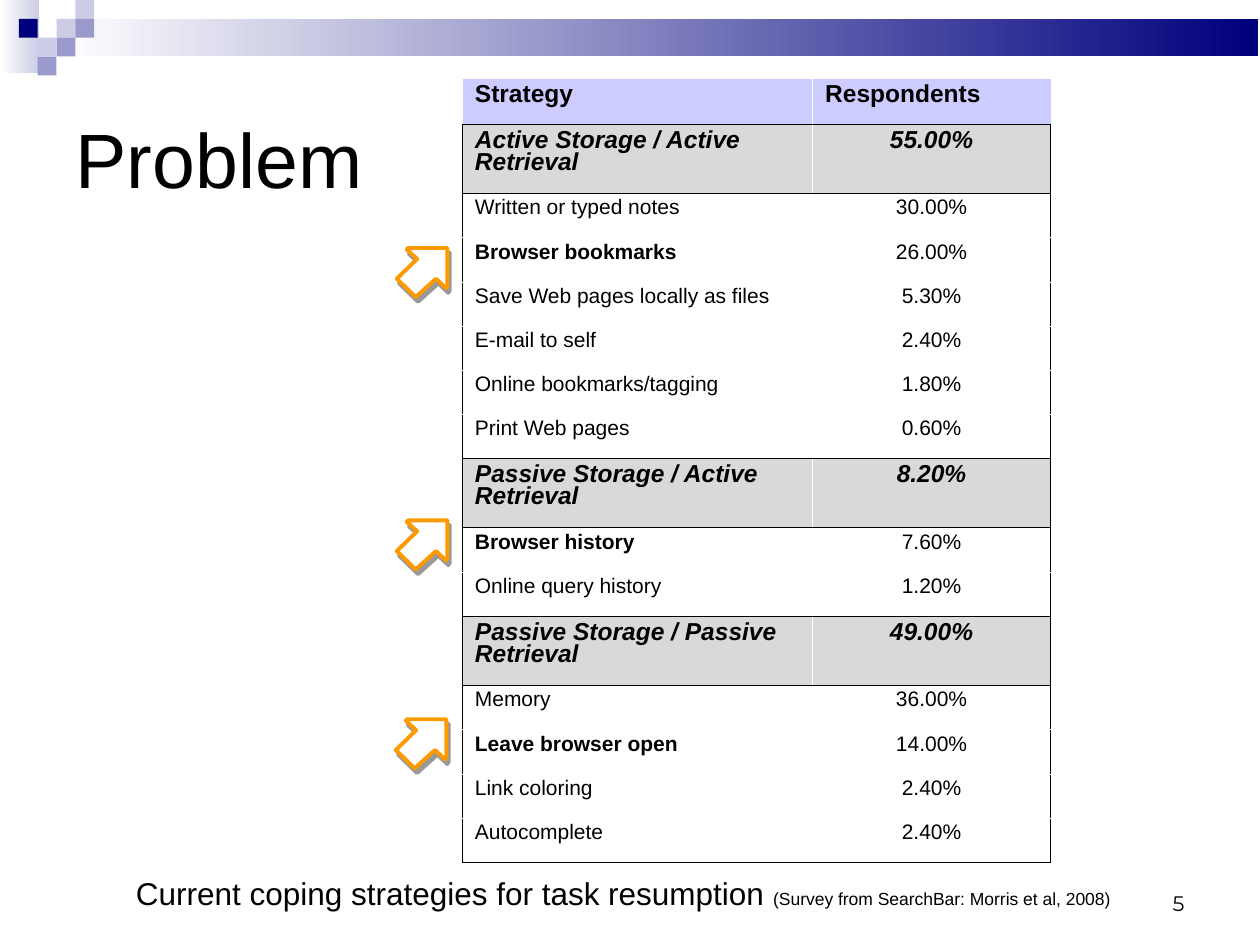
from lxml import etree
from pptx import Presentation
from pptx.dml.color import RGBColor
from pptx.enum.shapes import MSO_SHAPE
from pptx.enum.text import MSO_ANCHOR, PP_ALIGN
from pptx.oxml import parse_xml
from pptx.oxml.ns import nsdecls, qn
from pptx.util import Cm, Pt

RECT = MSO_SHAPE.RECTANGLE
LEFT, CENTER, RIGHT = PP_ALIGN.LEFT, PP_ALIGN.CENTER, PP_ALIGN.RIGHT
TOP, MIDDLE, BOTTOM = MSO_ANCHOR.TOP, MSO_ANCHOR.MIDDLE, MSO_ANCHOR.BOTTOM

COLORS = {
    "black": "000000", "white": "FFFFFF", "navy": "00007D",
    "lilac": "CCCCE6", "violet": "9999CC", "header": "CCCCFF",
    "group": "D9D9D9", "orange": "FF9900",
}

STRATEGIES = [
    ("header", "Strategy", "Respondents"),
    ("group", "Active Storage / Active Retrieval", "55.00%"),
    ("item", "Written or typed notes", "30.00%"),
    ("key", "Browser bookmarks", "26.00%"),
    ("item", "Save Web pages locally as files", "5.30%"),
    ("item", "E-mail to self", "2.40%"),
    ("item", "Online bookmarks/tagging", "1.80%"),
    ("item", "Print Web pages", "0.60%"),
    ("group", "Passive Storage / Active Retrieval", "8.20%"),
    ("key", "Browser history", "7.60%"),
    ("item", "Online query history", "1.20%"),
    ("group", "Passive Storage / Passive Retrieval", "49.00%"),
    ("item", "Memory", "36.00%"),
    ("key", "Leave browser open", "14.00%"),
    ("item", "Link coloring", "2.40%"),
    ("item", "Autocomplete", "2.40%"),
]
ROW_HEIGHTS = {"header": 0.93, "group": 1.4, "item": 0.89, "key": 0.89}
COLUMN_WIDTHS = [7.06, 4.8]

SQUARES = [(3, 1, "lilac"), (4, 0, "lilac"), (4, 1, "violet"), (2, 2, "lilac"),
           (1, 1, "navy"), (3, 2, "violet"), (2, 3, "violet")]
SQUARE = 0.38

ARROW = [(0, 62), (41, 22), (20, 3), (23, 0), (102, 0),
         (102, 76), (99, 81), (79, 62), (38, 99)]
ARROW_PLACES = [(8, 10.49), (7.98, 14.5), (8, 5)]


def rgb(name):
    return RGBColor.from_string(COLORS[name])


def write(p, text, size=12, font="Arial", color="black", bold=False,
          italic=False, align=LEFT, spacing=None):
    p.alignment = align
    if spacing:
        p.line_spacing = spacing
    r = p.add_run()
    r.text = text
    r.font.size, r.font.name = Pt(size), font
    r.font.bold, r.font.italic = bold, italic
    r.font.color.rgb = rgb(color)


class SlideBuilder:
    def __init__(self, prs):
        self.s = prs.slides.add_slide(prs.slide_layouts[5])

    def title(self, text, x, y, w, h):
        sp = self.s.shapes.title
        sp.left, sp.top, sp.width, sp.height = Cm(x), Cm(y), Cm(w), Cm(h)
        sp.text_frame.vertical_anchor = MIDDLE
        write(sp.text_frame.paragraphs[0], text, size=44)

    def text(self, x, y, w, h, runs, anchor=TOP, wrap=True):
        tf = self.s.shapes.add_textbox(Cm(x), Cm(y), Cm(w), Cm(h)).text_frame
        tf.word_wrap = wrap
        tf.vertical_anchor = anchor
        for text, style in runs:
            write(tf.paragraphs[0], text, **style)

    def rect(self, x, y, w, h, color, fade=False):
        sp = self.s.shapes.add_shape(RECT, Cm(x), Cm(y), Cm(w), Cm(h))
        sp.shadow.inherit = False
        sp.line.fill.background()
        if fade:
            sp.fill.gradient()
            sp.fill.gradient_angle = 180
            stops = sp.fill.gradient_stops
            for stop, position, name in zip(stops, (0, 1), (color, "white")):
                stop.position = position
                stop.color.rgb = rgb(name)
        else:
            sp.fill.solid()
            sp.fill.fore_color.rgb = rgb(color)

    def arrow(self, x, y):
        builder = self.s.shapes.build_freeform(*ARROW[0], scale=Cm(0.01))
        builder.add_line_segments(ARROW[1:], close=True)
        sp = builder.convert_to_shape(Cm(x), Cm(y))
        sp.fill.solid()
        sp.fill.fore_color.rgb = rgb("white")
        sp.line.color.rgb = rgb("orange")
        sp.line.width = Pt(2.25)
        etree.SubElement(sp.line._get_or_add_ln(), qn("a:round"))
        sp.shadow.inherit = False
        sp._element.spPr.find(qn("a:effectLst")).append(parse_xml(
            f'<a:outerShdw {nsdecls("a")} blurRad="0" dist="{Pt(3)}" '
            f'dir="{63 * 60000}" algn="ctr" rotWithShape="0">'
            f'<a:srgbClr val="{COLORS["black"]}"><a:alpha val="40000"/>'
            '</a:srgbClr></a:outerShdw>'))

    def borders(self, cell, sides):
        tc_pr = cell._tc.get_or_add_tcPr()
        for i, (side, dark) in enumerate(sides.items()):
            width, color = (0.45, "black") if dark else (0.06, "white")
            tc_pr.insert(i, parse_xml(
                f'<a:ln{side} {nsdecls("a")} w="{Pt(width)}"><a:solidFill>'
                f'<a:srgbClr val="{COLORS[color]}"/></a:solidFill></a:ln{side}>'))

    def table(self, x, y, rows, widths):
        heights = [ROW_HEIGHTS[kind] for kind, *_ in rows]
        table = self.s.shapes.add_table(
            len(rows), len(widths), Cm(x), Cm(y),
            Cm(sum(widths)), Cm(sum(heights))).table
        table.first_row = table.horz_banding = False
        for column, width in zip(table.columns, widths):
            column.width = Cm(width)
        groups = [kind == "group" for kind, *_ in rows]
        rules = [False] + [a or b for a, b in zip(groups, groups[1:])] + [True]
        for i, (kind, *texts) in enumerate(rows):
            table.rows[i].height = Cm(heights[i])
            strong = kind in ("header", "group")
            for j, text in enumerate(texts):
                cell = table.cell(i, j)
                cell.fill.solid()
                cell.fill.fore_color.rgb = rgb(kind if strong else "white")
                write(cell.text_frame.paragraphs[0], text,
                      size=14 if strong else 12,
                      bold=strong or (kind == "key" and j == 0),
                      italic=kind == "group", spacing=0.81,
                      align=CENTER if j and kind != "header" else LEFT)
                framed = kind != "header"
                self.borders(cell, {"L": framed and j == 0,
                                    "R": framed and j == len(widths) - 1,
                                    "T": rules[i], "B": rules[i + 1]})


def main():
    prs = Presentation()
    prs.slide_width, prs.slide_height = Cm(25.4), Cm(19.05)
    slide = SlideBuilder(prs)

    slide.rect(0, 0, 0.79, 1.47, "lilac", fade=True)
    slide.rect(1.14, 0.38, 24.23, 0.76, "navy", fade=True)
    for column, row, color in SQUARES:
        slide.rect(column * SQUARE, row * SQUARE, SQUARE, SQUARE, color)

    slide.text(18.21, 17.35, 5.92, 1.24,
               [("5", {"font": "Montserrat", "align": RIGHT})], anchor=BOTTOM)
    slide.title("Problem", 1.27, 1.27, 22.86, 3.81)
    slide.text(2.49, 17.5, 20.22, 1.02, [
        ("Current coping strategies for task resumption ", {"size": 18}),
        ("(Survey from SearchBar: Morris et al, 2008)", {"size": 10}),
    ], wrap=False)
    slide.table(9.32, 1.57, STRATEGIES, COLUMN_WIDTHS)
    for x, y in ARROW_PLACES:
        slide.arrow(x, y)

    prs.save("out.pptx")


if __name__ == "__main__":
    main()
